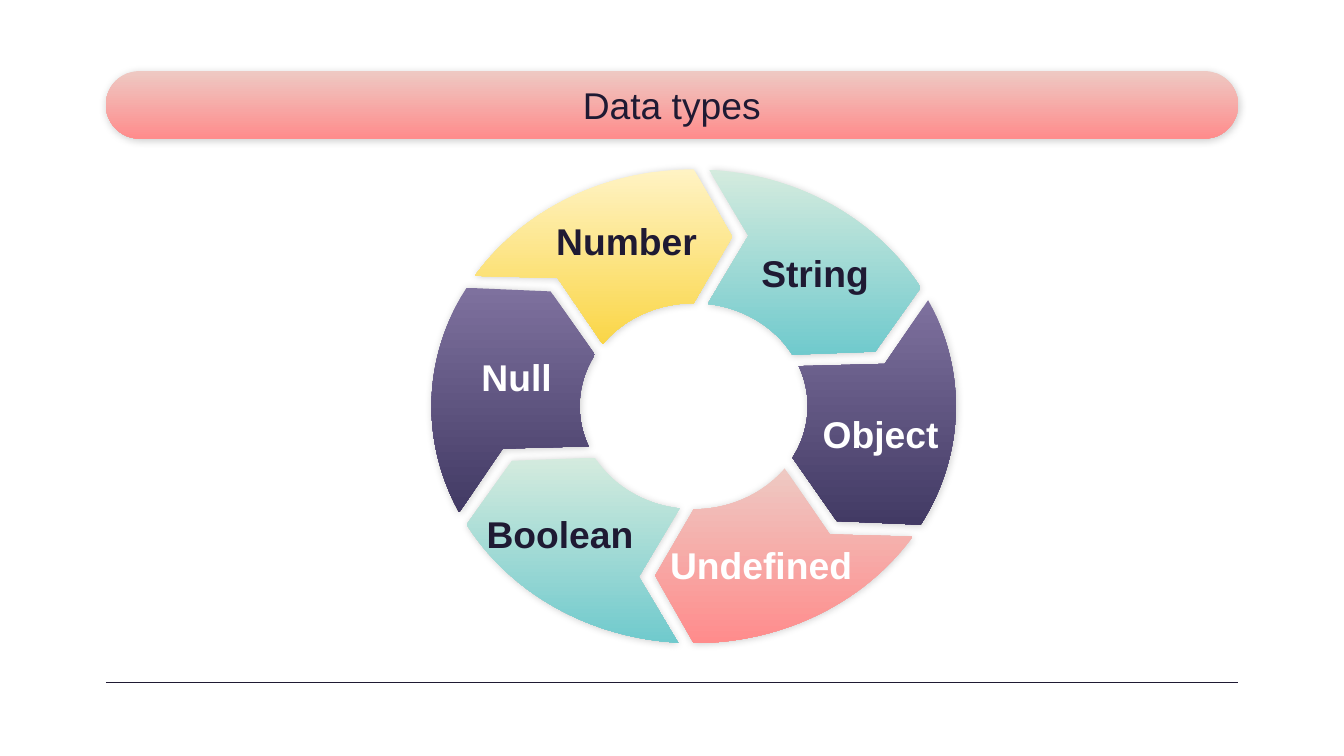
from math import cos, radians, sin, tan

from lxml import etree
from pptx import Presentation
from pptx.dml.color import RGBColor
from pptx.enum.shapes import MSO_CONNECTOR, MSO_SHAPE
from pptx.enum.text import MSO_ANCHOR, PP_ALIGN
from pptx.oxml import parse_xml
from pptx.oxml.ns import qn
from pptx.util import Inches, Pt

STRAIGHT = MSO_CONNECTOR.STRAIGHT
PILL = MSO_SHAPE.ROUNDED_RECTANGLE
CENTER, MIDDLE = PP_ALIGN.CENTER, MSO_ANCHOR.MIDDLE

INK = RGBColor(0x1F, 0x1A, 0x33)
WHITE = RGBColor(0xFF, 0xFF, 0xFF)
CORAL = RGBColor(0xEE, 0xC9, 0xC3), RGBColor(0xFF, 0x8C, 0x8C)
TEAL = RGBColor(0xD4, 0xEB, 0xDE), RGBColor(0x70, 0xCA, 0xCD)
PURPLE = RGBColor(0x7E, 0x71, 0x9E), RGBColor(0x42, 0x3A, 0x64)
YELLOW = RGBColor(0xFF, 0xF3, 0xC4), RGBColor(0xFA, 0xD6, 0x47)

# Content: clockwise from the top; label boxes are left, top, width, height
TITLE = "Data types"
TYPES = [
    # name, gradient, text colour, label box
    ("String", TEAL, INK, (7.03, 1.99, 2.11, 1.42)),
    ("Object", PURPLE, WHITE, (7.57, 3.53, 2.33, 1.54)),
    ("Undefined", CORAL, WHITE, (6.48, 4.83, 2.14, 1.54)),
    ("Boolean", TEAL, INK, (4.39, 4.52, 2.33, 1.54)),
    ("Null", PURPLE, WHITE, (3.96, 2.97, 2.33, 1.54)),
    ("Number", YELLOW, INK, (5.16, 1.68, 2.11, 1.42)),
]

# Geometry in inches, angles in degrees clockwise from the top
SLIDE_W, SLIDE_H = 13.33, 7.5
MARGIN = 1.05
TITLE_TOP, TITLE_W, TITLE_H = 0.705, 6.74, 0.67
RULE_Y = 6.775
CENTER_X, CENTER_Y = 6.88, 4.03
RADIUS_X, RADIUS_Y = 2.6, 2.35
STEP = 360 / len(TYPES)
OUTER, INNER, TIP, NOTCH = 1, 0.435, 0.73, 0.75  # shares of the radius
OUTER_GAP, INNER_GAP, TIP_LEAD, NOTCH_LEAD = 3.4, 7.1, 11.6, 16.2
CURVE_STARTS = 0, 5  # segments of an arrow where its two arcs begin
FONT, TEXT_SIZE = "Arial", Pt(26.6)

SHADOW = (
    '<a:effectLst xmlns:a="http://schemas.openxmlformats.org/drawingml/2006/main">'
    '<a:outerShdw blurRad="71120" dist="10160" dir="3960000" algn="bl" rotWithShape="0">'
    '<a:srgbClr val="000000"><a:alpha val="20000"/></a:srgbClr>'
    "</a:outerShdw></a:effectLst>"
)


def ring_point(share, angle, pull=0):
    """Point on the ring, moved along the tangent by pull."""
    s, c = sin(radians(angle)), cos(radians(angle))
    return (Inches(CENTER_X + share * RADIUS_X * (s + pull * c)),
            Inches(CENTER_Y - share * RADIUS_Y * (c - pull * s)))


def arc(share, start, end):
    """Start, two control points and end of a Bezier arc."""
    pull = 4 / 3 * tan(radians(end - start) / 4)
    return [ring_point(share, start), ring_point(share, start, pull),
            ring_point(share, end, -pull), ring_point(share, end)]


def add_arrow(shapes, start, end):
    outline = (arc(OUTER, start + OUTER_GAP, end)
               + [ring_point(TIP, end + TIP_LEAD)]
               + arc(INNER, end, start + INNER_GAP)
               + [ring_point(NOTCH, start + NOTCH_LEAD)])
    builder = shapes.build_freeform(*outline[0])
    builder.add_line_segments(outline[1:], close=True)
    arrow = builder.convert_to_shape()
    # Join the three segments of each arc into one curve
    segments = list(arrow._element.iter(qn("a:lnTo")))
    for first in CURVE_STARTS:
        curve = etree.Element(qn("a:cubicBezTo"))
        segments[first].addprevious(curve)
        for segment in segments[first:first + 3]:
            curve.append(segment[0])
            segment.getparent().remove(segment)
    return arrow


def style_gradient(shape, gradient):
    shape.fill.gradient()
    shape.fill.gradient_angle = 270
    for stop, color in zip(shape.fill.gradient_stops, gradient):
        stop.color.rgb = color
    shape.line.fill.background()
    shape.shadow.inherit = False
    properties = shape._element.spPr
    properties.replace(properties.find(qn("a:effectLst")), parse_xml(SHADOW))


def add_label(shapes, box, text, color, inset, bold):
    frame = shapes.add_textbox(*map(Inches, box)).text_frame
    frame.word_wrap = True
    frame.vertical_anchor = MIDDLE
    frame.margin_left = frame.margin_right = Inches(inset)
    frame.margin_top = frame.margin_bottom = Inches(inset)
    paragraph = frame.paragraphs[0]
    paragraph.text = text
    paragraph.alignment = CENTER
    font = paragraph.font
    font.name, font.size, font.bold = FONT, TEXT_SIZE, bold
    font.color.rgb = color


def main():
    deck = Presentation()
    deck.slide_width, deck.slide_height = Inches(SLIDE_W), Inches(SLIDE_H)
    shapes = deck.slides.add_slide(deck.slide_layouts[6]).shapes

    # Title bar
    title_bar = shapes.add_shape(PILL, Inches(MARGIN), Inches(TITLE_TOP),
                                 Inches(SLIDE_W - 2 * MARGIN), Inches(TITLE_H))
    title_bar.adjustments[0] = 0.5
    style_gradient(title_bar, CORAL)

    # Bottom rule
    rule = shapes.add_connector(STRAIGHT, Inches(MARGIN), Inches(RULE_Y),
                                Inches(SLIDE_W - MARGIN), Inches(RULE_Y))
    rule.line.color.rgb = INK
    rule.line.width = Pt(0.75)
    etree.SubElement(rule._element.spPr, qn("a:effectLst"))

    # Title
    title_box = (SLIDE_W - TITLE_W) / 2, TITLE_TOP, TITLE_W, TITLE_H
    add_label(shapes, title_box, TITLE, INK, inset=0.1, bold=False)

    # Ring of arrows
    for i, (_, gradient, _, _) in enumerate(TYPES):
        style_gradient(add_arrow(shapes, i * STEP, (i + 1) * STEP), gradient)

    # Labels
    for name, _, color, box in TYPES:
        add_label(shapes, box, name, color, inset=0.13, bold=True)

    deck.save("out.pptx")


if __name__ == "__main__":
    main()
